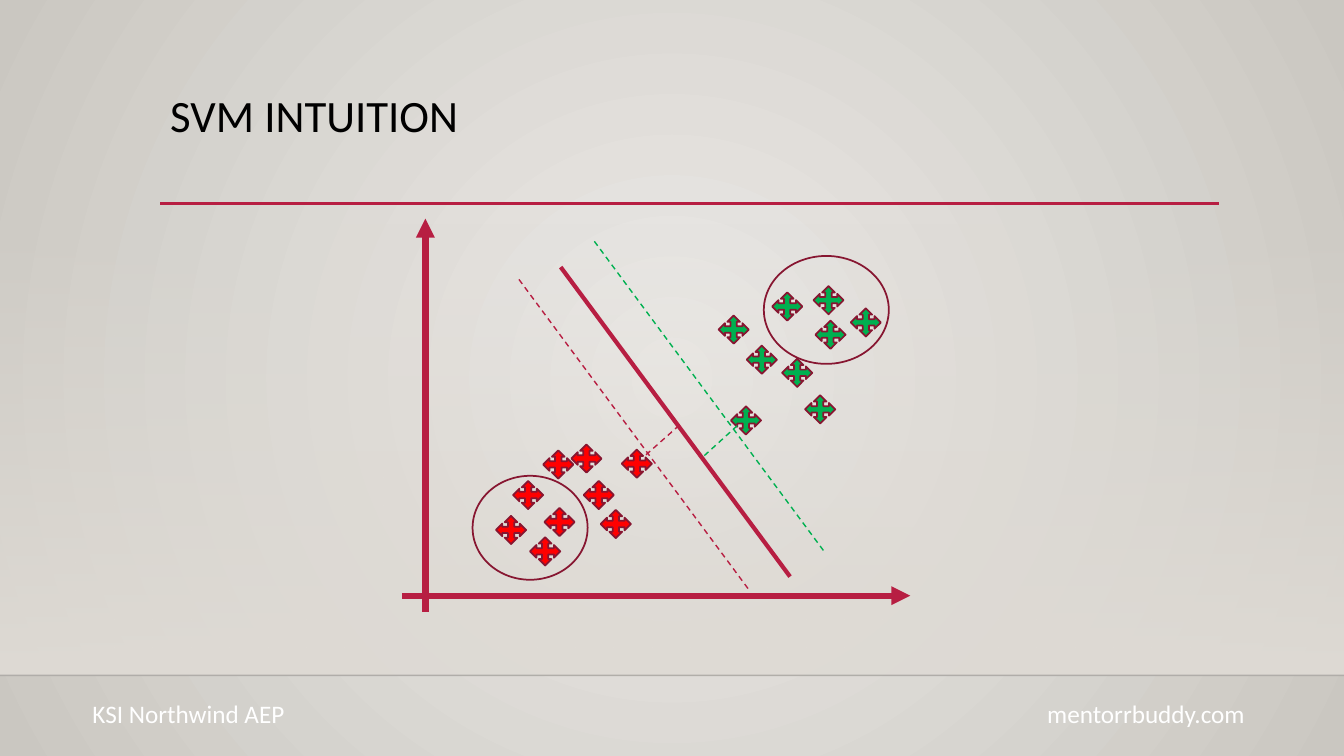
from lxml import etree
from pptx import Presentation
from pptx import util as u
from pptx.dml.color import RGBColor
from pptx.enum import dml, shapes, text
from pptx.oxml import parse_xml
from pptx.oxml.ns import nsdecls, qn

HUE = {"rose": "B71E42", "wine": "871631", "red": "FF0000", "green": "00B050",
       "white": "FFFFFF", "black": "000000", "ink": "000001",
       "pale": "ECEAE7", "grey": "CAC7C1", "sand": "DFDBD5"}
WIDE, HIGH = 33.87, 19.05
BAND = (5.61, 17.02)  # top and bottom of the shaded wall

# text, box, size
TEXTS = [
    ("KSI Northwind AEP", (2.08, 17.48, 5.64, 1.02), 18, "white"),
    ("mentorrbuddy.com", (26.14, 17.48, 5.64, 1.02), 18, "white"),
    ("SVM INTUITION", (4.04, 2.24, 26.67, 2.92), 32, "black"),
]
# upper left corners of the data points
POINTS = {
    "red": [(12.93, 12.12), (13.72, 12.8), (12.5, 13), (13.69, 11.35), (14.4, 11.2),
            (13.36, 13.54), (14.71, 12.12), (15.14, 12.85), (15.67, 11.33)],
    "green": [(18.11, 7.95), (19.71, 9.04), (18.82, 8.71), (19.46, 7.37), (20.5, 7.21),
              (20.29, 9.96), (21.44, 7.77), (20.55, 8.08), (18.42, 10.24)],
}
MARK = (0.76, 0.71)
AXES = [((10.72, 15.42), (10.72, 5.51)), ((10.13, 15.01), (22.94, 15.01))]
SLOPE = (-5.78, -7.8)  # run and rise shared by the divider and its margins
SLANTS = [((19.91, 14.53), "rose", 3, False),
          ((18.85, 14.83), "rose", 1, True),
          ((20.75, 13.87), "green", 1, True)]
GAPS = [((16.28, 11.46), (17.17, 10.67), "rose"),
        ((17.75, 11.48), (18.62, 10.69), "green")]
RINGS = [(19.25, 6.45, 3.15, 2.72), (11.91, 11.99, 2.9, 2.62)]


def rgb(name):
    return RGBColor.from_string(HUE[name])


def cm(vals):
    return [u.Cm(v) for v in vals]


def grade(item, stops, way):
    """Swap the item's solid fill for a gradient of (place, hue, alpha) stops."""
    marks = "".join(
        f'<a:gs pos="{at * 1000}"><a:srgbClr val="{HUE[hue]}">'
        f'<a:alpha val="{alpha * 1000}"/></a:srgbClr></a:gs>'
        for at, hue, alpha in stops)
    old = item.element.find(".//" + qn("a:solidFill"))
    old.getparent().replace(old, parse_xml(
        f'<a:gradFill {nsdecls("a")} rotWithShape="1">'
        f'<a:gsLst>{marks}</a:gsLst>{way}</a:gradFill>'))


def shape(slide, kind, box, fill=None, line=None):
    item = slide.shapes.add_shape(kind, *cm(box))
    item.shadow.inherit = False
    if fill:
        item.fill.solid()
        item.fill.fore_color.rgb = rgb(fill)
    else:
        item.fill.background()
    if line:
        item.line.color.rgb = rgb(line)
        item.line.width = u.Pt(1.25)
    else:
        item.line.fill.background()
    return item


def line(slide, start, end, hue, width, dash=False, arrow=False, alpha=None):
    item = slide.shapes.add_connector(shapes.MSO_CONNECTOR.STRAIGHT, *cm(start + end))
    item.line.color.rgb = rgb(hue)
    item.line.width = u.Pt(width)
    if dash:
        item.line.dash_style = dml.MSO_LINE.DASH
    if arrow:
        etree.SubElement(item.line._get_or_add_ln(), qn("a:tailEnd"), type="triangle")
    if alpha:
        clr = item.element.find(".//" + qn("a:srgbClr"))
        etree.SubElement(clr, qn("a:alpha"), val=str(alpha * 1000))
    etree.SubElement(item.element.spPr, qn("a:effectLst"))


def write(slide, words, box, size, hue, font="Calibri", space=1.0, wrap=True):
    frame = slide.shapes.add_textbox(*cm(box)).text_frame
    frame.word_wrap = wrap
    frame.vertical_anchor = text.MSO_ANCHOR.TOP
    para = frame.paragraphs[0]
    para.line_spacing = space
    run = para.add_run()
    run.text = words
    run.font.name = font
    run.font.size = u.Pt(size)
    run.font.color.rgb = rgb(hue)


def main():
    deck = Presentation()
    deck.slide_width, deck.slide_height = cm((WIDE, HIGH))
    slide = deck.slides.add_slide(deck.slide_layouts[6])

    slide.background.fill.solid()
    grade(slide, [(0, "pale", 100), (100, "grey", 100)],
          '<a:path path="circle"><a:fillToRect l="50000" t="50000" r="50000" b="50000"/></a:path>')
    top, base = BAND
    wall = shape(slide, shapes.MSO_SHAPE.RECTANGLE, (0, top, WIDE, base - top), "sand")
    grade(wall, [(0, "sand", 0), (100, "sand", 100)], '<a:lin ang="5400000" scaled="0"/>')
    line(slide, (0, base), (WIDE, base), "ink", 1, alpha=20)

    line(slide, (4.04, 5.13), (30.73, 5.13), "rose", 2.5)
    for words, box, size, hue in TEXTS:
        write(slide, words, box, size, hue, space=0.9 if size == 32 else 1.0,
              wrap=size == 32)

    for start, end in AXES:
        line(slide, start, end, "rose", 4.5, arrow=True)
    for hue, spots in POINTS.items():
        for spot in spots:
            shape(slide, shapes.MSO_SHAPE.QUAD_ARROW, spot + MARK, hue, "wine")
    for (x, y), hue, width, dash in SLANTS:
        line(slide, (x, y), (x + SLOPE[0], y + SLOPE[1]), hue, width, dash)
    for start, end, hue in GAPS:
        line(slide, start, end, hue, 1, dash=True)
    for ring in RINGS:
        shape(slide, shapes.MSO_SHAPE.OVAL, ring, line="wine")

    deck.save("out.pptx")


if __name__ == "__main__":
    main()
